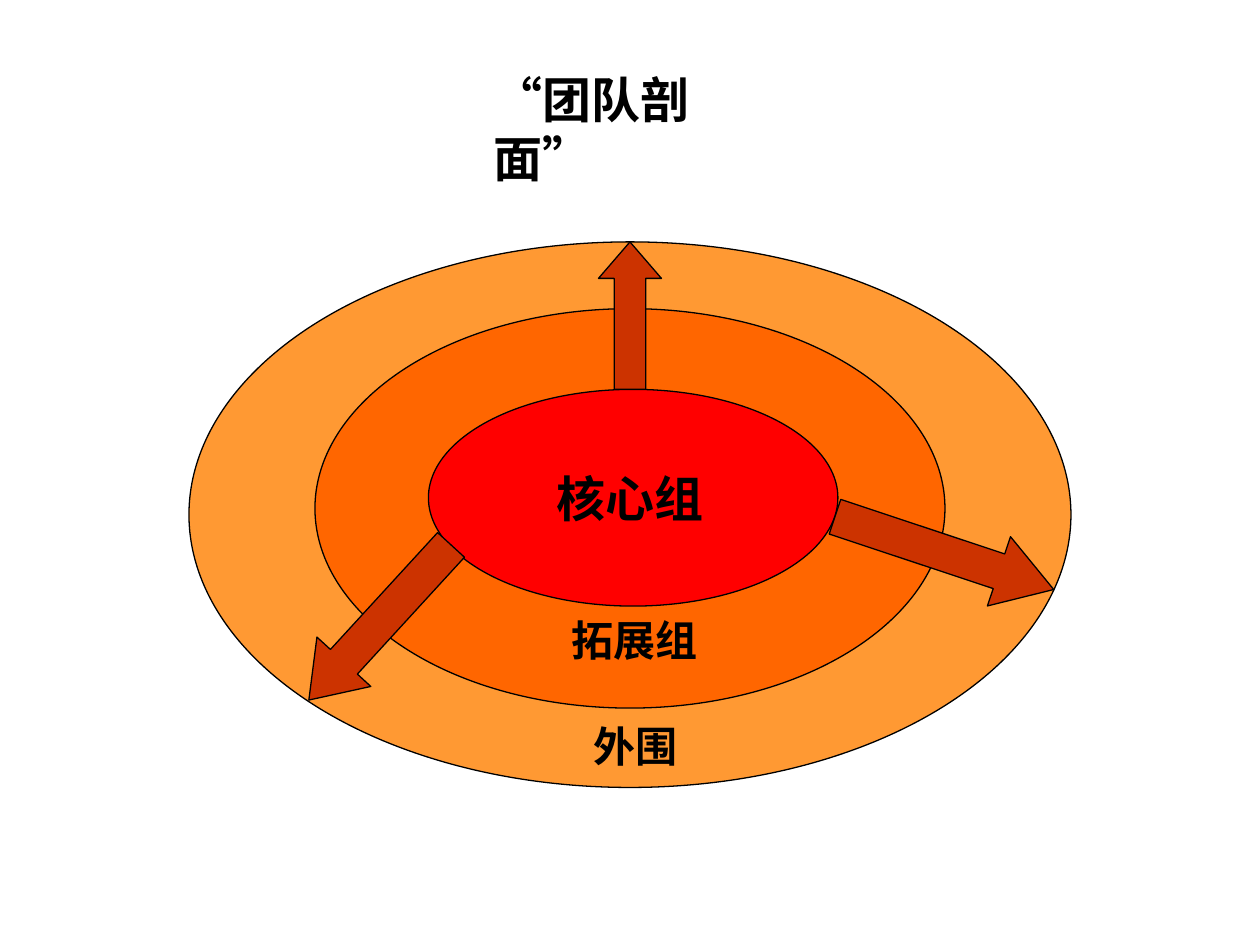
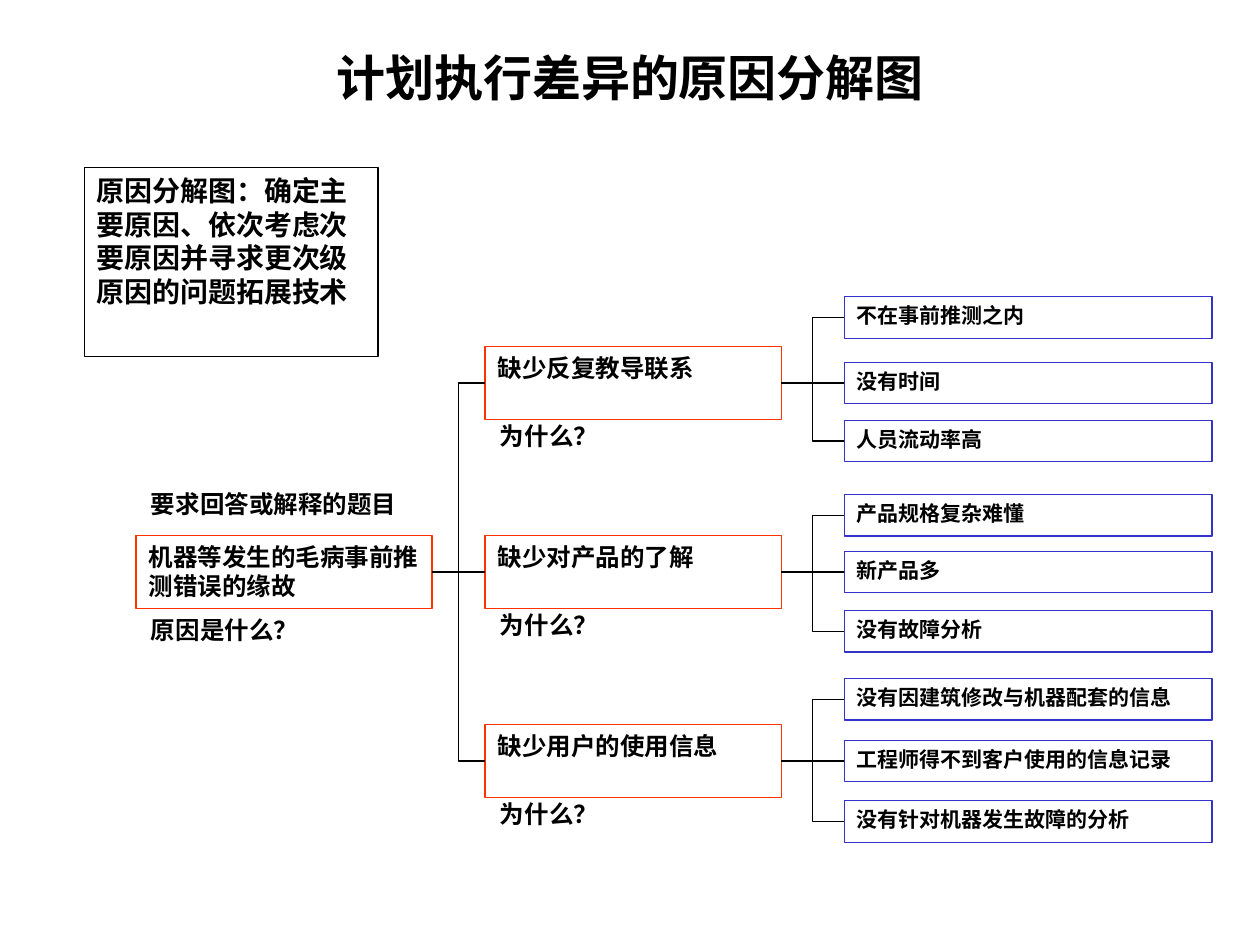
import pptx
import pptx.util
import pptx.dml.color
import pptx.enum.shapes
import pptx.enum.text
from lxml import etree
from pptx.oxml.ns import qn

Inches = pptx.util.Inches
Pt = pptx.util.Pt
RGBColor = pptx.dml.color.RGBColor
MSO_SHAPE = pptx.enum.shapes.MSO_SHAPE
MSO_CONNECTOR = pptx.enum.shapes.MSO_CONNECTOR
PP_ALIGN = pptx.enum.text.PP_ALIGN

BLACK = RGBColor(0x00, 0x00, 0x00)
OUTER_ORANGE = RGBColor(0xFF, 0x99, 0x33)
MIDDLE_ORANGE = RGBColor(0xFF, 0x66, 0x00)
CORE_RED = RGBColor(0xFF, 0x00, 0x00)
ARROW_RED = RGBColor(0xCC, 0x33, 0x00)
CAUSE_RED = RGBColor(0xFF, 0x33, 0x00)
DETAIL_BLUE = RGBColor(0x33, 0x33, 0xCC)

CJK_FONT = "Noto Sans CJK SC"
LINE_WIDTH = Pt(0.75)
TITLE_ONLY = 5

CAUSE_WIDTH, CAUSE_HEIGHT = 2.35, 0.58
DETAIL_LEFT, DETAIL_WIDTH, DETAIL_HEIGHT = 6.7, 2.92, 0.33
CAUSE_LEFT, FIRST_CAUSE_TOP, CAUSE_STEP = 3.85, 2.75, 1.5
ROOT_LEFT, ROOT_TOP = 1.08, 4.25

RINGS = [
    (1.5, 1.92, 7, 4.33, OUTER_ORANGE),
    (2.5, 2.45, 5, 3.17, MIDDLE_ORANGE),
    (3.4, 3.09, 3.25, 1.72, CORE_RED),
]
RING_LABELS = [
    ("外围", 4.42, 5.67, 1.25, 0.5, 24),
    ("拓展组", 4.41, 4.83, 1.25, 0.5, 24),
    ("核心组", 4.25, 3.67, 1.5, 0.57, 28),
]
OUTWARD_ARROWS = [
    (MSO_SHAPE.RIGHT_ARROW, 6.58, 4.1, 1.83, 0.58, 18.4, 0.79),
    (MSO_SHAPE.RIGHT_ARROW, 2.18, 4.65, 1.67, 0.58, 132.5, 0.71),
    (MSO_SHAPE.UP_ARROW, 4.75, 1.92, 0.5, 1.17, 0, 0.58),
]
CAUSES = [
    ("缺少反复教导联系",
     [("不在事前推测之内", -0.52), ("没有时间", 0), ("人员流动率高", 0.46)]),
    ("缺少对产品的了解",
     [("产品规格复杂难懂", -0.45), ("新产品多", 0), ("没有故障分析", 0.47)]),
    ("缺少用户的使用信息",
     [("没有因建筑修改与机器配套的信息", -0.49),
      ("工程师得不到客户使用的信息记录", 0),
      ("没有针对机器发生故障的分析", 0.48)]),
]


def write_text(frame, text, size=14, latin=CJK_FONT, align=PP_ALIGN.LEFT):
    frame.word_wrap = True
    frame.auto_size = pptx.enum.text.MSO_AUTO_SIZE.NONE
    frame.vertical_anchor = pptx.enum.text.MSO_ANCHOR.TOP
    paragraph = frame.paragraphs[0]
    paragraph.alignment = align
    run = paragraph.add_run()
    run.text = text
    run.font.size = Pt(size)
    run.font.bold = True
    run.font.color.rgb = BLACK
    run.font.name = latin
    run.font.language_id = pptx.enum.lang.MSO_LANGUAGE_ID.SIMPLIFIED_CHINESE
    east_asian = etree.SubElement(run._r.get_or_add_rPr(), qn("a:ea"))
    east_asian.set("typeface", CJK_FONT)


def add_titled_slide(deck, text, left, top, width, height, **text_format):
    slide = deck.slides.add_slide(deck.slide_layouts[TITLE_ONLY])
    title = slide.shapes.title
    title.left, title.top = Inches(left), Inches(top)
    title.width, title.height = Inches(width), Inches(height)
    write_text(title.text_frame, text, size=28, **text_format)
    return slide


def add_label(slide, text, left, top, width, height, **text_format):
    label = slide.shapes.add_textbox(
        Inches(left), Inches(top), Inches(width), Inches(height))
    write_text(label.text_frame, text, **text_format)


def add_figure(slide, preset, left, top, width, height, fill=None, line=BLACK):
    figure = slide.shapes.add_shape(
        preset, Inches(left), Inches(top), Inches(width), Inches(height))
    figure.shadow.inherit = False
    if fill is None:
        figure.fill.background()
    else:
        figure.fill.solid()
        figure.fill.fore_color.rgb = fill
    figure.line.color.rgb = line
    figure.line.width = LINE_WIDTH
    return figure


def add_box(slide, text, left, top, width, height, line=BLACK, size=14):
    box = add_figure(slide, MSO_SHAPE.RECTANGLE, left, top, width, height, line=line)
    write_text(box.text_frame, text, size=size)
    return box


def add_cause(slide, text, left, top):
    return add_box(slide, text, left, top, CAUSE_WIDTH, CAUSE_HEIGHT, line=CAUSE_RED)


def join(slide, parent, child, straight):
    kind = MSO_CONNECTOR.STRAIGHT if straight else MSO_CONNECTOR.ELBOW
    branch = slide.shapes.add_connector(kind, 0, 0, 0, 0)
    branch.begin_connect(parent, 3)
    branch.end_connect(child, 1)
    branch.line.color.rgb = BLACK
    branch.line.width = LINE_WIDTH
    etree.SubElement(branch._element.spPr, qn("a:effectLst"))


def build_team_slide(deck):
    slide = add_titled_slide(deck, "“团队剖面”", 3.82, 0.5, 2.37, 0.57, latin="Arial")
    for *place, colour in RINGS:
        add_figure(slide, MSO_SHAPE.OVAL, *place, fill=colour)
    for text, *place, size in RING_LABELS:
        add_label(slide, text, *place, size=size,
                  latin="Times New Roman", align=PP_ALIGN.CENTER)
    for preset, *place, rotation, head_length in OUTWARD_ARROWS:
        arrow = add_figure(slide, preset, *place, fill=ARROW_RED)
        arrow.adjustments[0] = 0.5
        arrow.adjustments[1] = head_length
        arrow.rotation = rotation


def build_cause_slide(deck):
    slide = add_titled_slide(deck, "计划执行差异的原因分解图", 1.75, 0.33, 6.5, 0.57,
                             align=PP_ALIGN.CENTER)
    add_box(slide, "原因分解图：确定主要原因、依次考虑次要原因并寻求更次级原因的问题拓展技术",
            0.67, 1.33, 2.33, 1.5, size=16)
    root = add_cause(slide, "机器等发生的毛病事前推测错误的缘故", ROOT_LEFT, ROOT_TOP)
    add_label(slide, "要求回答或解释的题目", 1.1, 3.83, 2.36, 0.33)
    add_label(slide, "原因是什么？", 1.1, 4.83, 2.36, 0.33)

    for row, (cause_text, details) in enumerate(CAUSES):
        cause_top = FIRST_CAUSE_TOP + row * CAUSE_STEP
        cause = add_cause(slide, cause_text, CAUSE_LEFT, cause_top)
        add_label(slide, "为什么？", 3.87, cause_top + 0.54, 2.36, 0.33)
        join(slide, root, cause, straight=cause_top == ROOT_TOP)
        middle_top = cause_top + (CAUSE_HEIGHT - DETAIL_HEIGHT) / 2
        for detail_text, offset in details:
            detail = add_box(slide, detail_text, DETAIL_LEFT, middle_top + offset,
                             DETAIL_WIDTH, DETAIL_HEIGHT, line=DETAIL_BLUE, size=12)
            join(slide, cause, detail, straight=offset == 0)


def main():
    deck = pptx.Presentation()
    deck.slide_width, deck.slide_height = Inches(10), Inches(7.5)
    build_team_slide(deck)
    build_cause_slide(deck)
    deck.save("out.pptx")


if __name__ == "__main__":
    import pptx.enum.lang
    main()
